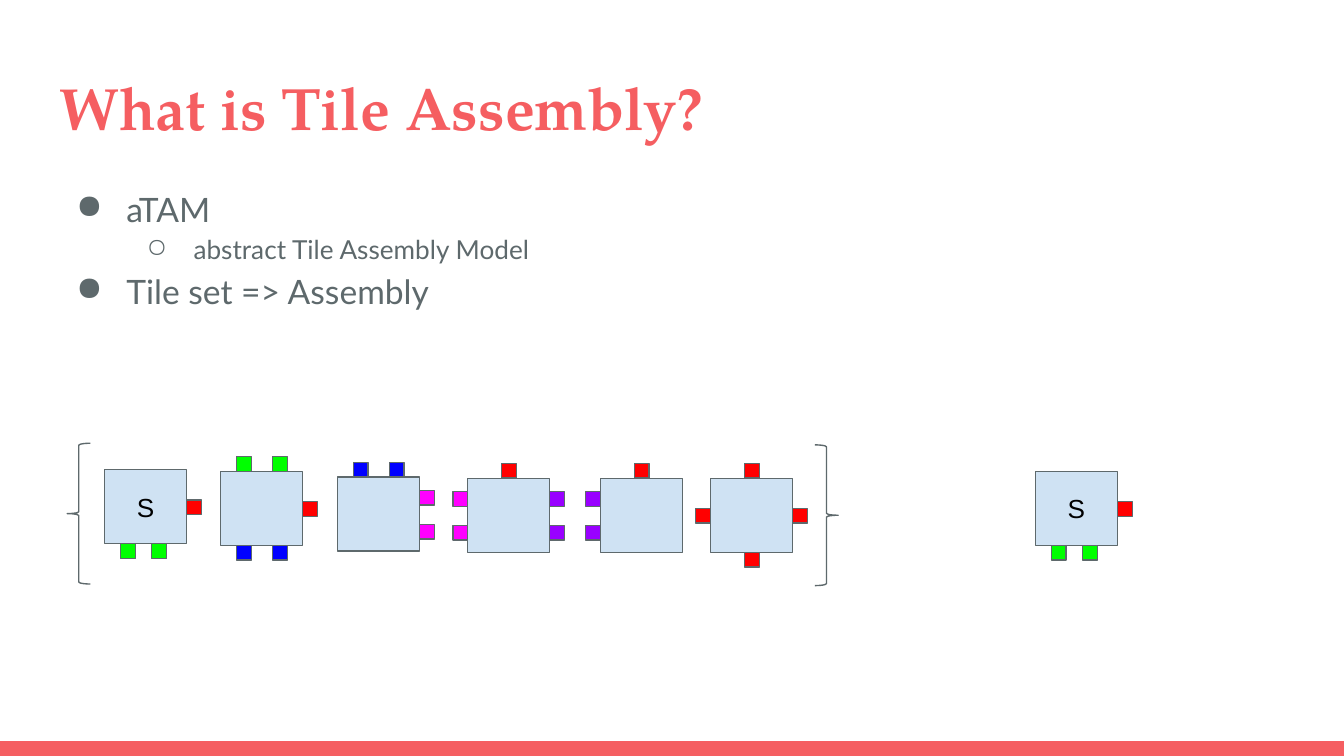
from lxml import etree
from pptx import Presentation
from pptx.dml.color import RGBColor
from pptx.enum.shapes import MSO_SHAPE
from pptx.enum.text import MSO_ANCHOR, MSO_AUTO_SIZE, PP_ALIGN
from pptx.oxml.ns import qn
from pptx.util import Cm, Pt

RECTANGLE = MSO_SHAPE.RECTANGLE
LEFT_BRACE, RIGHT_BRACE = MSO_SHAPE.LEFT_BRACE, MSO_SHAPE.RIGHT_BRACE
TOP, MIDDLE = MSO_ANCHOR.TOP, MSO_ANCHOR.MIDDLE
LEFT, CENTER = PP_ALIGN.LEFT, PP_ALIGN.CENTER
NO_AUTOFIT = MSO_AUTO_SIZE.NONE

CORAL = RGBColor(0xF5, 0x5E, 0x61)
SLATE = RGBColor(0x5E, 0x69, 0x6C)
PALE_BLUE = RGBColor(0xCF, 0xE2, 0xF3)
BLACK = RGBColor(0, 0, 0)
RED = RGBColor(0xFF, 0, 0)
GREEN = RGBColor(0, 0xFF, 0)
BLUE = RGBColor(0, 0, 0xFF)
MAGENTA = RGBColor(0xFF, 0, 0xFF)
PURPLE = RGBColor(0x99, 0, 0xFF)

# Sizes and glue offsets along a tile's side, in centimetres
TILE_WIDTH, TILE_HEIGHT, GLUE = 1.55, 1.4, 0.28
ACROSS_ONE, ACROSS_TWO, SEED_TWO = (0.64,), (0.3, 0.98), (0.3, 0.89)
DOWN_ONE, DOWN_TWO = (0.57,), (0.25, 0.89)

# Each glue group: side, offsets, colour
SEED = [("right", DOWN_ONE, RED), ("bottom", SEED_TWO, GREEN)]

# Each tile: left, top, label, glues
TILES = [
    (1.98, 8.88, "S", SEED),
    (4.17, 8.91, "", [("right", DOWN_ONE, RED), ("top", ACROSS_TWO, GREEN),
                      ("bottom", ACROSS_TWO, BLUE)]),
    (6.38, 9.02, "", [("top", ACROSS_TWO, BLUE), ("right", DOWN_TWO, MAGENTA)]),
    (8.84, 9.04, "", [("left", DOWN_TWO, MAGENTA), ("right", DOWN_TWO, PURPLE),
                      ("top", ACROSS_ONE, RED)]),
    (11.35, 9.04, "", [("left", DOWN_TWO, PURPLE), ("top", ACROSS_ONE, RED)]),
    (13.43, 9.04, "", [("top", ACROSS_ONE, RED), ("left", DOWN_ONE, RED),
                       ("right", DOWN_ONE, RED), ("bottom", ACROSS_ONE, RED)]),
    (19.57, 8.91, "S", SEED),
]

# Each bullet: text, level, size, character, left margin, hanging indent
BULLETS = [
    ("aTAM", 0, 18, "●", 1.27, 0.95),
    ("abstract Tile Assembly Model", 1, 14, "○", 2.54, 0.89),
    ("Tile set => Assembly", 0, 18, "●", 1.27, 0.95),
]


def add_shape(slide, kind, left, top, width, height, fill=None, line=SLATE):
    shape = slide.shapes.add_shape(kind, Cm(left), Cm(top), Cm(width), Cm(height))
    shape.shadow.inherit = False
    if fill is None:
        shape.fill.background()
    else:
        shape.fill.solid()
        shape.fill.fore_color.rgb = fill
    if line is None:
        shape.line.fill.background()
    else:
        shape.line.color.rgb = line
        shape.line.width = Pt(0.75)
    return shape


def set_frame(frame, anchor):
    frame.word_wrap = True
    frame.auto_size = NO_AUTOFIT
    frame.vertical_anchor = anchor
    frame.margin_left = frame.margin_right = Cm(0.25)
    frame.margin_top = frame.margin_bottom = Cm(0.25)


def set_text(paragraph, text, font_name, size, color, alignment=LEFT, bold=False):
    paragraph.text = text
    paragraph.alignment = alignment
    font = paragraph.font
    font.name, font.size, font.bold = font_name, Pt(size), bold
    font.color.rgb = color


def set_bullet(paragraph, character, margin, hanging):
    properties = paragraph._p.get_or_add_pPr()
    properties.set("marL", str(Cm(margin)))
    properties.set("indent", str(-Cm(hanging)))
    bullet_color = etree.Element(qn("a:buClr"))
    etree.SubElement(bullet_color, qn("a:srgbClr"), val=str(SLATE))
    bullet = etree.Element(qn("a:buChar"), char=character)
    # Bullet elements belong just before the default run properties
    default_run = properties.find(qn("a:defRPr"))
    default_run.addprevious(bullet_color)
    default_run.addprevious(bullet)


def add_title(slide, text):
    title = slide.shapes.title
    title.left, title.top = Cm(0.87), Cm(1.09)
    title.width, title.height = Cm(23.67), Cm(1.73)
    set_frame(title.text_frame, TOP)
    set_text(title.text_frame.paragraphs[0], text, "TeX Gyre Pagella", 32, CORAL, bold=True)


def add_bullets(slide):
    box = slide.shapes.add_textbox(Cm(0.87), Cm(3.2), Cm(23.67), Cm(9.5))
    frame = box.text_frame
    set_frame(frame, TOP)
    for index, (text, level, size, character, margin, hanging) in enumerate(BULLETS):
        paragraph = frame.add_paragraph() if index else frame.paragraphs[0]
        set_text(paragraph, text, "Lato", size, SLATE)
        paragraph.level = level
        paragraph.line_spacing = 1.15
        set_bullet(paragraph, character, margin, hanging)


def add_tile(slide, left, top, label, glues):
    tile = add_shape(slide, RECTANGLE, left, top, TILE_WIDTH, TILE_HEIGHT, PALE_BLUE)
    if label:
        set_frame(tile.text_frame, MIDDLE)
        set_text(tile.text_frame.paragraphs[0], label, "Arial", 14, BLACK, CENTER)
    for side, offsets, color in glues:
        for offset in offsets:
            x, y = {
                "left": (-GLUE, offset),
                "right": (TILE_WIDTH, offset),
                "top": (offset, -GLUE),
                "bottom": (offset, TILE_HEIGHT),
            }[side]
            add_shape(slide, RECTANGLE, left + x, top + y, GLUE, GLUE, color)


def main():
    presentation = Presentation()
    presentation.slide_width, presentation.slide_height = Cm(25.4), Cm(14.29)
    slide = presentation.slides.add_slide(presentation.slide_layouts[5])

    # Footer band, title and bullets
    add_shape(slide, RECTANGLE, 0, 14.01, 25.4, 0.28, CORAL, line=None)
    add_title(slide, "What is Tile Assembly?")
    add_bullets(slide)

    # Tile set in braces, then the seed of the assembly
    add_shape(slide, LEFT_BRACE, 1.27, 8.38, 0.44, 2.66)
    add_shape(slide, RIGHT_BRACE, 15.4, 8.41, 0.44, 2.66)
    for tile in TILES:
        add_tile(slide, *tile)

    presentation.save("out.pptx")


if __name__ == "__main__":
    main()
